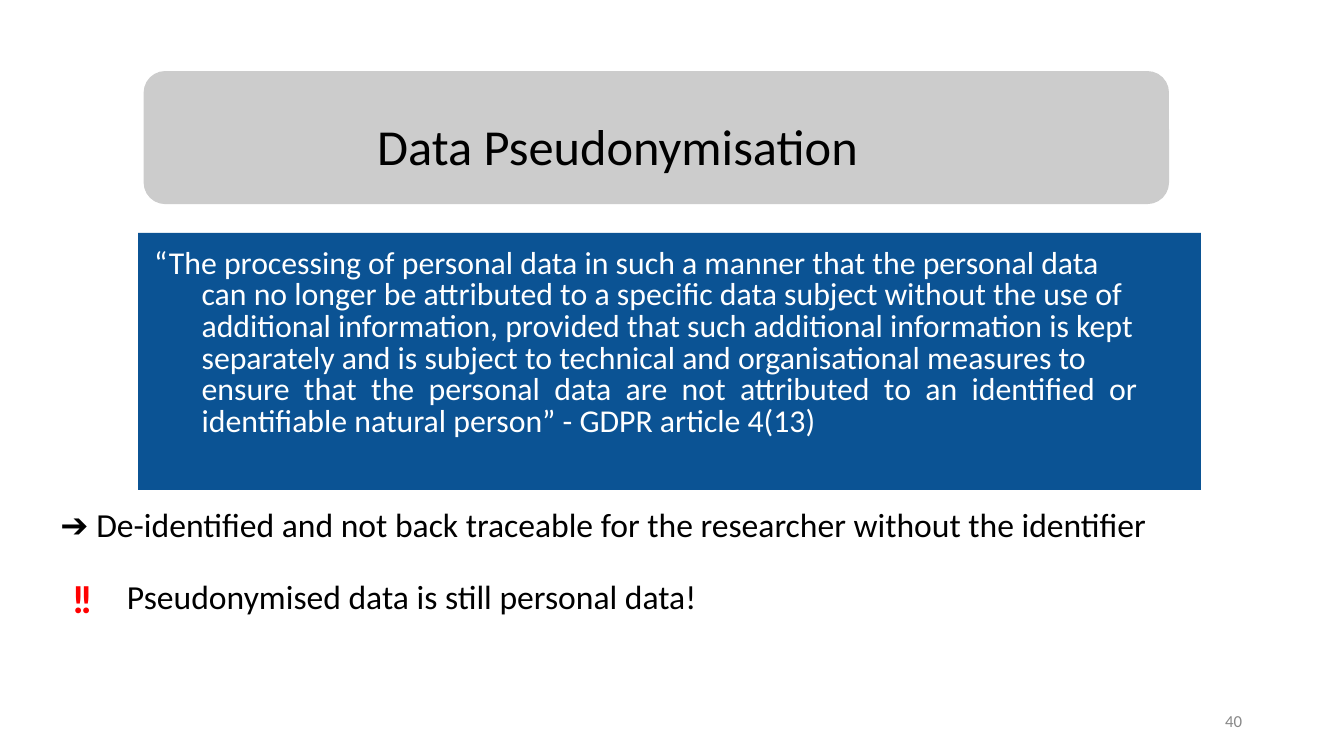
"""Build the slide that defines data pseudonymisation."""
from dataclasses import dataclass

import pptx
import pptx.dml.color
import pptx.enum.shapes
import pptx.enum.text
import pptx.util

Inches = pptx.util.Inches
Pt = pptx.util.Pt
Shapes = pptx.enum.shapes.MSO_SHAPE
Align = pptx.enum.text.PP_ALIGN

FONT = "Calibri"
BLACK, WHITE, RED = "000000", "FFFFFF", "FF0000"
GREY, BLUE, NUMBER_GREY = "CCCCCC", "0B5394", "888888"
HANGING = 0.47

QUOTE_START = [
    "“The processing of personal data in such a manner that the personal data",
    "can no longer be attributed to a specific data subject without the use of",
    "additional information, provided that such additional information is kept",
    "separately and is subject to technical and organisational measures to",
]
QUOTE_END = [
    "ensure that the personal data are not attributed to an identified or "
    "identifiable natural person” - GDPR article 4(13)"
]


@dataclass
class Label:
    text: str
    left: float
    top: float
    width: float
    height: float
    size: float
    color: str = BLACK
    bold: bool = False
    align: Align = Align.LEFT


@dataclass
class Panel:
    preset: Shapes
    left: float
    top: float
    width: float
    height: float
    color: str
    inset_left: float
    inset_top: float
    inset_right: float


LABELS = [
    Label("➔ De-identified and not back traceable for the researcher without the identifier",
          0.6, 5, 11.4, 0.5, 24),
    Label("Pseudonymised data is still personal data!", 1.26, 5.71, 6, 0.5, 24),
    Label("40", 9.42, 7.05, 2.9, 0.2, 12, NUMBER_GREY, align=Align.RIGHT),
    Label("‼", 0.7, 5.7, 0.4, 0.47, 28, RED, bold=True),
]
TITLE_PANEL = Panel(Shapes.ROUNDED_RECTANGLE, 1.43, 0.71, 10.16, 1.31, GREY, 2.25, 0.37, 0)
QUOTE_PANEL = Panel(Shapes.RECTANGLE, 1.37, 2.31, 10.54, 2.55, BLUE, 0.16, 0.16, 0.63)


def rgb(color: str) -> pptx.dml.color.RGBColor:
    """Turn a hex string into a colour."""
    return pptx.dml.color.RGBColor.from_string(color)


def set_frame(frame, left: float = 0, top: float = 0, right: float = 0) -> None:
    """Give a text frame wrapping, top anchoring and its insets."""
    frame.word_wrap = True
    frame.vertical_anchor = pptx.enum.text.MSO_ANCHOR.TOP
    frame.margin_left = Inches(left)
    frame.margin_top = Inches(top)
    frame.margin_right = Inches(right)
    frame.margin_bottom = 0


def write(paragraph, lines: list[str], size: float, color: str,
          bold: bool = False, align: Align = Align.LEFT) -> None:
    """Write lines into one paragraph, a run for each."""
    paragraph.alignment = align
    for index, line in enumerate(lines):
        if index:
            paragraph.add_line_break()
        run = paragraph.add_run()
        run.text = line
        run.font.name = FONT
        run.font.size = Pt(size)
        run.font.bold = bold
        run.font.color.rgb = rgb(color)


def add_label(slide, label: Label) -> None:
    """Add a text box holding one line."""
    box = slide.shapes.add_textbox(Inches(label.left), Inches(label.top),
                                   Inches(label.width), Inches(label.height))
    set_frame(box.text_frame)
    write(box.text_frame.paragraphs[0], [label.text], label.size, label.color,
          label.bold, label.align)


def add_panel(slide, panel: Panel):
    """Add a filled panel and return it."""
    shape = slide.shapes.add_shape(panel.preset, Inches(panel.left), Inches(panel.top),
                                   Inches(panel.width), Inches(panel.height))
    shape.shadow.inherit = False
    shape.fill.solid()
    shape.fill.fore_color.rgb = rgb(panel.color)
    shape.line.fill.background()
    set_frame(shape.text_frame, panel.inset_left, panel.inset_top, panel.inset_right)
    return shape


def add_title(slide) -> None:
    """Add the rounded title panel."""
    shape = add_panel(slide, TITLE_PANEL)
    shape.adjustments[0] = 0.16
    shape.line.color.rgb = rgb(GREY)
    shape.line.width = Pt(0.75)
    write(shape.text_frame.paragraphs[0], ["Data Pseudonymisation"], 36, BLACK)


def add_quote(slide) -> None:
    """Add the quote panel, with a hanging first line and a justified end."""
    frame = add_panel(slide, QUOTE_PANEL).text_frame
    start, end = frame.paragraphs[0], frame.add_paragraph()
    for paragraph, indent in ((start, -HANGING), (end, 0)):
        paragraph.line_spacing = Pt(22.6)
        properties = paragraph._p.get_or_add_pPr()
        properties.set("marL", str(Inches(HANGING)))
        properties.set("indent", str(Inches(indent)))
    write(start, QUOTE_START, 22.7, WHITE)
    write(end, QUOTE_END, 22.7, WHITE, align=Align.JUSTIFY)


def main() -> None:
    """Build and save the presentation."""
    presentation = pptx.Presentation()
    presentation.slide_width = Inches(13.33)
    presentation.slide_height = Inches(7.5)
    slide = presentation.slides.add_slide(presentation.slide_layouts[6])
    add_title(slide)
    add_quote(slide)
    for label in LABELS:
        add_label(slide, label)
    presentation.save("out.pptx")


if __name__ == "__main__":
    main()
